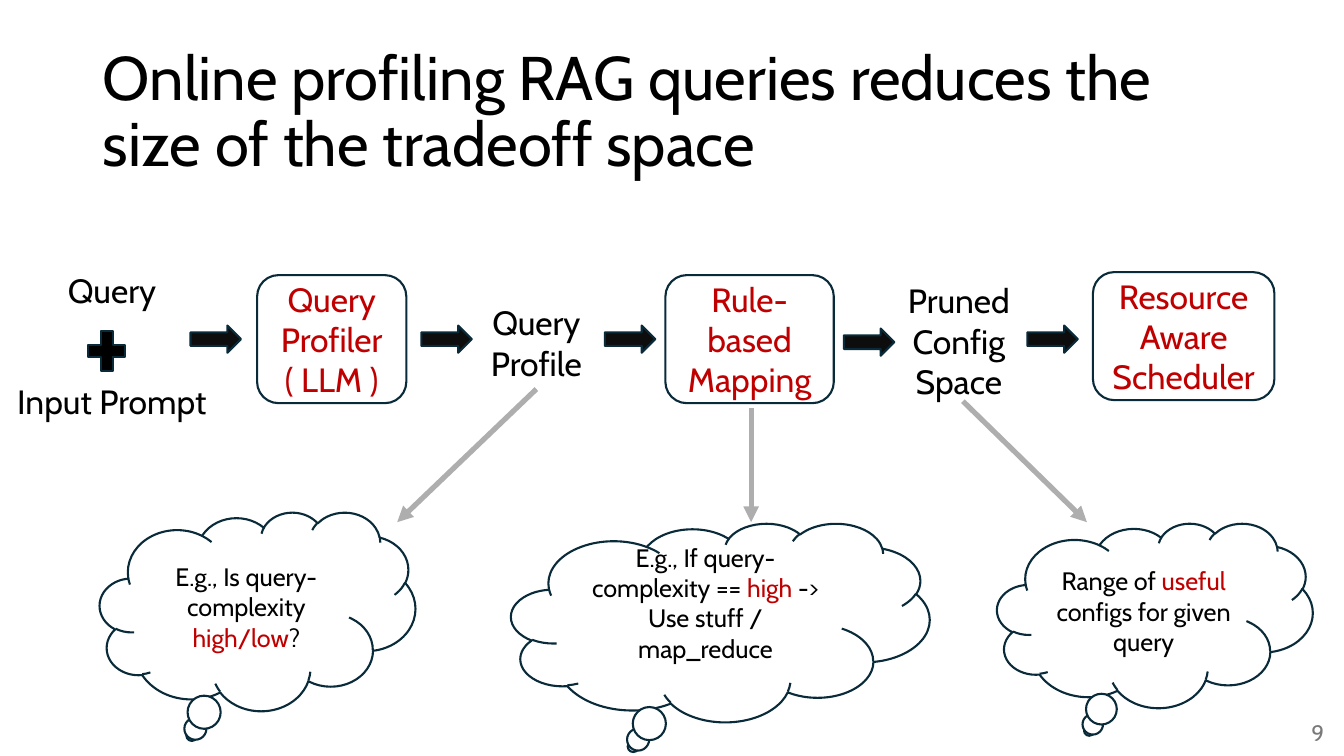
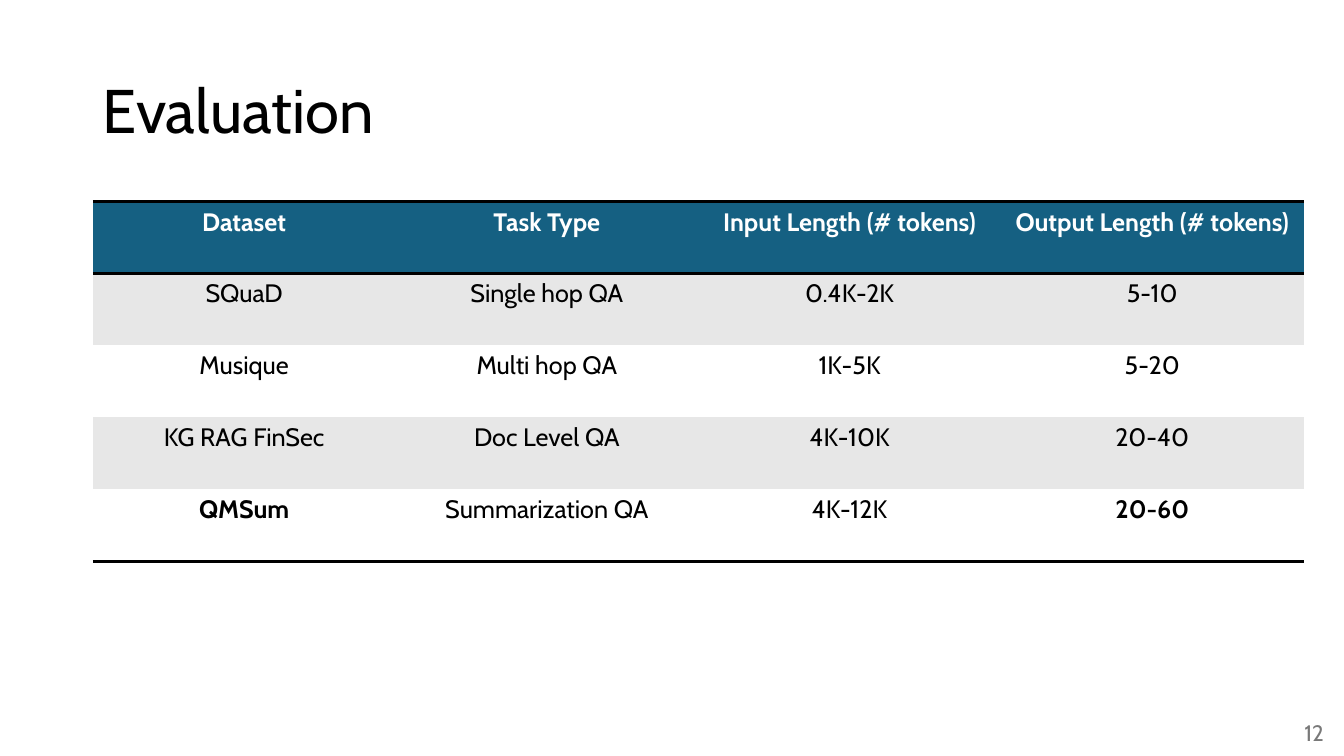
from lxml.etree import SubElement
from pptx import Presentation
from pptx.dml.color import RGBColor
from pptx.enum.shapes import MSO_CONNECTOR, MSO_SHAPE
from pptx.enum.text import MSO_ANCHOR, MSO_AUTO_SIZE, PP_ALIGN
from pptx.oxml.ns import qn
from pptx.util import Inches, Pt

FONT = "Cabin"
BLACK = RGBColor(0x00, 0x00, 0x00)
WHITE = RGBColor(0xFF, 0xFF, 0xFF)
RED = RGBColor(0xC0, 0x00, 0x00)
OUTLINE = RGBColor(0x09, 0x2A, 0x39)
ARROW_FILL = RGBColor(0x0D, 0x0D, 0x0D)
POINTER_GRAY = RGBColor(0xAE, 0xAE, 0xAE)
NUMBER_GRAY = RGBColor(0x79, 0x79, 0x79)
HEADER_BLUE = RGBColor(0x15, 0x60, 0x82)
BAND_GRAY = RGBColor(0xE7, 0xE7, 0xE7)
NO_STYLE_NO_GRID = "{2D5ABB26-0587-4C30-8999-92F81FD0307C}"

STEP_BOXES = [
    (2.55, 2.73, 1.48, ["Query Profiler", "( LLM )"]),
    (6.6, 2.73, 1.67, ["Rule-based", "Mapping"]),
    (10.84, 2.7, 1.8, ["Resource", "Aware", "Scheduler"]),
]
STEP_LABELS = [
    (0.47, 2.63, 1.28, 0.5, ["Query"]),
    (0.06, 3.73, 2.1, 0.5, ["Input Prompt"]),
    (4.68, 2.95, 1.28, 0.91, ["Query", "Profile"]),
    (8.87, 2.73, 1.28, 1.31, ["Pruned", "Config", "Space"]),
]
STEP_ARROWS = [(1.89, 3.23), (4.18, 3.23), (6, 3.23), (8.37, 3.26), (10.19, 3.23)]
POINTERS = [
    (5.32, 3.86, 3.94, 5.18),
    (7.45, 4.05, 7.45, 5.18),
    (9.55, 3.98, 10.78, 5.18),
]
# Left, top, width, height, bottom inset, paragraphs
CLOUDS = [
    (0.99, 5.08, 3.13, 1.97, 0.05,
     [["E.g., Is query-complexity ", ("high/low", RED), "?"]]),
    (5.07, 5.19, 4.15, 1.97, 0.35,
     [["E.g., If query-complexity == ", ("high", RED), " ->"],
      "Use stuff / map_reduce"]),
    (9.89, 5.19, 3.13, 1.83, 0.05,
     [["Range of ", ("useful", RED), " configs for given"], "query"]),
]

DATASETS = [
    ["Dataset", "Task Type", "Input Length (# tokens)", "Output Length (# tokens)"],
    ["SQuaD", "Single hop QA", "0.4K-2K", "5-10"],
    ["Musique", "Multi hop QA", "1K-5K", "5-20"],
    ["KG RAG FinSec", "Doc Level QA", "4K-10K", "20-40"],
    ["QMSum", "Summarization QA", "4K-12K", "20-60"],
]
BOLD_VALUES = {"QMSum", "20-60"}


def write_text(frame, paragraphs, size=24, color=BLACK, bold=False,
               align=PP_ALIGN.CENTER, anchor=None, line_spacing=None):
    """Fill a text frame; a paragraph is a string or a list of strings and (text, color) pairs."""
    if anchor is not None:
        frame.vertical_anchor = anchor
    for index, runs in enumerate(paragraphs):
        paragraph = frame.add_paragraph() if index else frame.paragraphs[0]
        paragraph.alignment = align
        if line_spacing:
            paragraph.line_spacing = line_spacing
        for item in [runs] if isinstance(runs, str) else runs:
            text, run_color = (item, color) if isinstance(item, str) else item
            for line_index, line in enumerate(text.split("\n")):
                if line_index:
                    paragraph.add_line_break()
                run = paragraph.add_run()
                run.text = line
                run.font.name = FONT
                run.font.size = Pt(size)
                run.font.bold = bold
                run.font.color.rgb = run_color


def add_text_box(slide, left, top, width, height, paragraphs, **text_format):
    box = slide.shapes.add_textbox(Inches(left), Inches(top), Inches(width), Inches(height))
    box.text_frame.word_wrap = True
    write_text(box.text_frame, paragraphs, **text_format)


def add_outlined_shape(slide, preset, left, top, width, height, fill=WHITE):
    shape = slide.shapes.add_shape(
        preset, Inches(left), Inches(top), Inches(width), Inches(height))
    shape.shadow.inherit = False
    shape.fill.solid()
    shape.fill.fore_color.rgb = fill
    shape.line.color.rgb = OUTLINE
    shape.line.width = Pt(1.5)
    return shape


def add_pointer(slide, start_x, start_y, end_x, end_y):
    pointer = slide.shapes.add_connector(
        MSO_CONNECTOR.STRAIGHT,
        Inches(start_x), Inches(start_y), Inches(end_x), Inches(end_y))
    pointer.line.color.rgb = POINTER_GRAY
    pointer.line.width = Pt(3.75)
    SubElement(pointer.line._get_or_add_ln(), qn("a:tailEnd"), type="triangle")
    SubElement(pointer._element.spPr, qn("a:effectLst"))


def add_cell_border(cell, side):
    """Draw a black rule on the side lnT or lnB; call before the fill is set."""
    border = SubElement(cell._tc.get_or_add_tcPr(), qn(f"a:{side}"), w=str(Pt(2)))
    fill = SubElement(border, qn("a:solidFill"))
    SubElement(fill, qn("a:srgbClr"), val=str(BLACK))


def add_dataset_table(slide, left, top, width, height):
    table = slide.shapes.add_table(
        len(DATASETS), len(DATASETS[0]),
        Inches(left), Inches(top), Inches(width), Inches(height)).table
    table._tbl.tblPr.find(qn("a:tableStyleId")).text = NO_STYLE_NO_GRID
    table.horz_banding = False
    last_row = len(DATASETS) - 1
    for row_index, values in enumerate(DATASETS):
        header = row_index == 0
        for column_index, value in enumerate(values):
            cell = table.cell(row_index, column_index)
            if header:
                add_cell_border(cell, "lnT")
            if row_index in (0, last_row):
                add_cell_border(cell, "lnB")
            cell.fill.solid()
            band = BAND_GRAY if row_index % 2 else WHITE
            cell.fill.fore_color.rgb = HEADER_BLUE if header else band
            write_text(cell.text_frame, [value], size=18,
                       color=WHITE if header else BLACK,
                       bold=header or value in BOLD_VALUES)


def add_titled_slide(presentation, title_text, number):
    slide = presentation.slides.add_slide(presentation.slide_layouts[5])
    title = slide.shapes.title
    title.left, title.top = Inches(0.92), Inches(0.4)
    title.width, title.height = Inches(11.5), Inches(1.45)
    title.text_frame.auto_size = MSO_AUTO_SIZE.NONE
    write_text(title.text_frame, [title_text], size=44, align=PP_ALIGN.LEFT,
               anchor=MSO_ANCHOR.MIDDLE, line_spacing=0.9)
    add_text_box(slide, 10.23, 7.07, 3, 0.4, [str(number)], size=16,
                 color=NUMBER_GRAY, align=PP_ALIGN.RIGHT, anchor=MSO_ANCHOR.MIDDLE)
    return slide


def build_profiling_slide(presentation):
    slide = add_titled_slide(
        presentation,
        "Online profiling RAG queries reduces the\nsize of the tradeoff space", 9)
    for left, top, width, paragraphs in STEP_BOXES:
        box = add_outlined_shape(slide, MSO_SHAPE.ROUNDED_RECTANGLE, left, top, width, 1.27)
        write_text(box.text_frame, paragraphs, color=RED, anchor=MSO_ANCHOR.MIDDLE)
    for label in STEP_LABELS:
        add_text_box(slide, *label)
    add_outlined_shape(slide, MSO_SHAPE.MATH_PLUS, 0.81, 3.21, 0.5, 0.54, fill=BLACK)
    for left, top in STEP_ARROWS:
        add_outlined_shape(slide, MSO_SHAPE.RIGHT_ARROW, left, top, 0.5, 0.27, fill=ARROW_FILL)
    for pointer in POINTERS:
        add_pointer(slide, *pointer)
    for left, top, width, height, bottom_inset, paragraphs in CLOUDS:
        cloud = add_outlined_shape(slide, MSO_SHAPE.CLOUD_CALLOUT, left, top, width, height)
        cloud.text_frame.margin_bottom = Inches(bottom_inset)
        write_text(cloud.text_frame, paragraphs, size=18, anchor=MSO_ANCHOR.MIDDLE)


def build_evaluation_slide(presentation):
    slide = add_titled_slide(presentation, "Evaluation", 12)
    add_dataset_table(slide, 0.92, 2, 12.01, 3.57)


def main():
    presentation = Presentation()
    presentation.slide_width = Inches(13.33)
    presentation.slide_height = Inches(7.5)
    build_profiling_slide(presentation)
    build_evaluation_slide(presentation)
    presentation.save("out.pptx")


if __name__ == "__main__":
    main()
